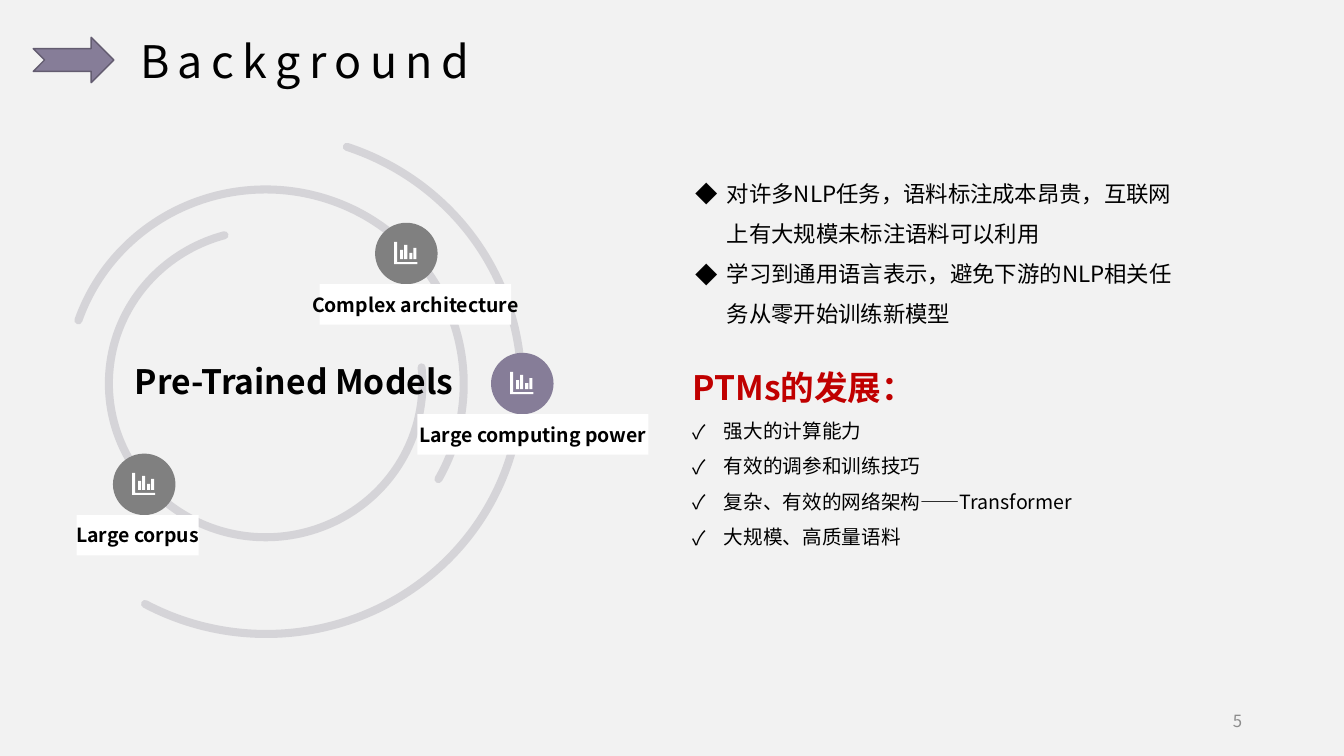
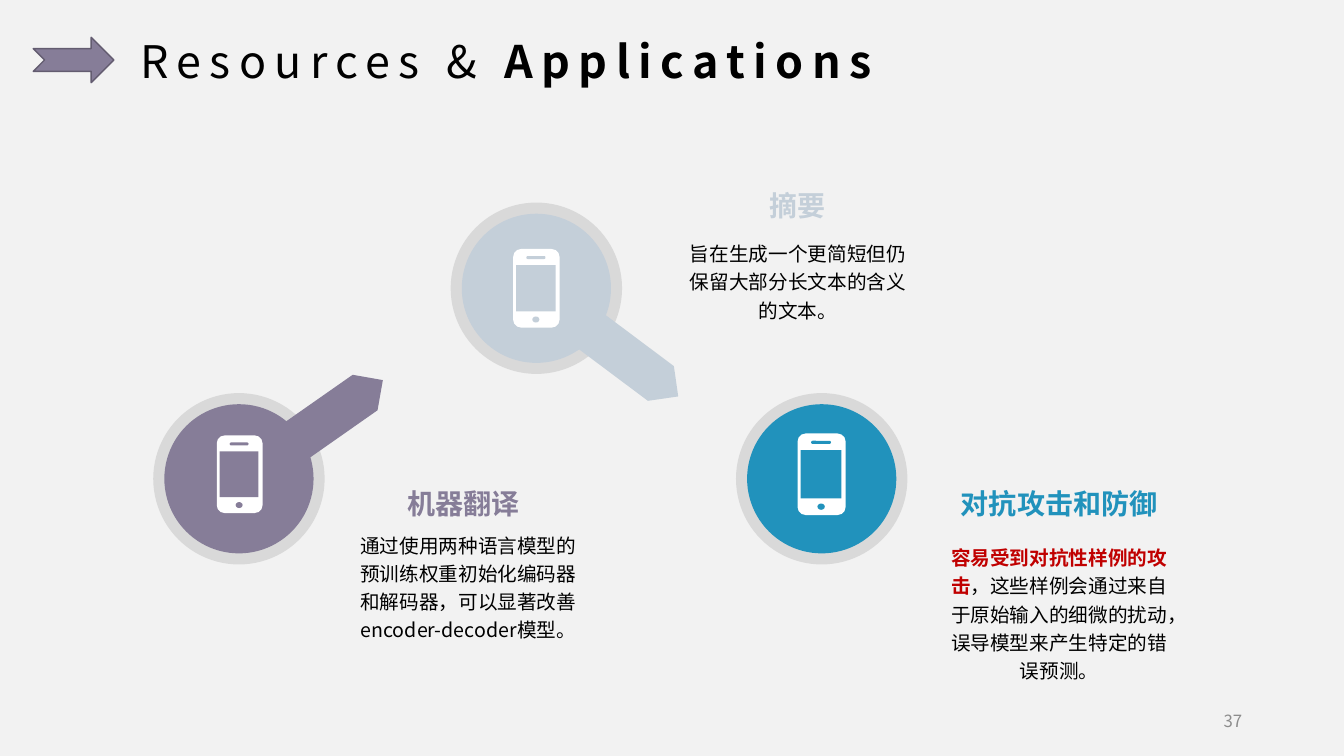
from dataclasses import dataclass

from lxml.etree import SubElement
from pptx import Presentation
from pptx.dml.color import RGBColor
from pptx.enum.shapes import MSO_SHAPE
from pptx.enum.text import MSO_ANCHOR, MSO_AUTO_SIZE, PP_ALIGN
from pptx.oxml.ns import qn
from pptx.util import Emu, Pt

EMU_PER_PX = 9144  # 100 px to the inch


@dataclass(frozen=True)
class Theme:
    font: str = "Noto Sans CJK SC"
    background: str = "F2F2F2"
    text: str = "000000"
    white: str = "FFFFFF"
    purple: str = "867D98"
    dark_purple: str = "635C70"
    pale_blue: str = "C4CFD9"
    blue: str = "2192BC"
    red: str = "C00000"
    grey: str = "808080"
    ring: str = "D9D9D9"
    number: str = "8C8C8C"
    title_size: float = 32
    heading_size: float = 24
    card_size: float = 20
    list_size: float = 16
    body_size: float = 14
    label_size: float = 13.9
    number_size: float = 12


THEME = Theme()


# Basic helpers
def px(*values):
    return [Emu(round(value * EMU_PER_PX)) for value in values]


def set_values(target, values):
    for name, value in values.items():
        setattr(target, name, value)


def format_frame(shape, margins=(10, 5, 10, 5), anchor=MSO_ANCHOR.TOP, wrap=True):
    left, top, right, bottom = px(*margins)
    set_values(shape.text_frame, {
        "auto_size": MSO_AUTO_SIZE.NONE, "word_wrap": wrap, "vertical_anchor": anchor,
        "margin_left": left, "margin_top": top,
        "margin_right": right, "margin_bottom": bottom,
    })
    return shape.text_frame


def add_run(paragraph, text, size, color=THEME.text, bold=False, tracking=None):
    run = paragraph.add_run()
    run.text = text
    set_values(run.font, {"name": THEME.font, "size": Pt(size), "bold": bold})
    run.font.color.rgb = RGBColor.from_string(color)
    properties = run.font._element
    SubElement(properties, qn("a:ea")).set("typeface", THEME.font)
    if tracking:
        properties.set("spc", str(tracking * 100))


def format_paragraph(paragraph, align=PP_ALIGN.LEFT, spacing=1.0, bullet=None):
    set_values(paragraph, {"alignment": align, "line_spacing": spacing,
                           "space_before": Pt(0), "space_after": Pt(0)})
    properties = paragraph._p.get_or_add_pPr()
    indent = px(31)[0] if bullet else 0
    properties.set("marL", str(indent))
    properties.set("indent", str(-indent))
    if bullet:
        SubElement(properties, qn("a:buFont")).set("typeface", THEME.font)
        SubElement(properties, qn("a:buChar")).set("char", bullet)
    else:
        SubElement(properties, qn("a:buNone"))
    return paragraph


def style_shape(shape, fill=None, line=None, line_width=1):
    shape.shadow.inherit = False
    if fill:
        shape.fill.solid()
        shape.fill.fore_color.rgb = RGBColor.from_string(fill)
    else:
        shape.fill.background()
    if line:
        shape.line.color.rgb = RGBColor.from_string(line)
        shape.line.width = Pt(line_width)
    else:
        shape.line.fill.background()
    return shape


def add_shape(slide, kind, box, fill=None, **line):
    return style_shape(slide.shapes.add_shape(kind, *px(*box)), fill, **line)


def add_text(slide, box, runs, align=PP_ALIGN.CENTER, spacing=1.0, **frame):
    text_frame = format_frame(slide.shapes.add_textbox(*px(*box)), **frame)
    paragraph = format_paragraph(text_frame.paragraphs[0], align, spacing)
    for text, size, color, bold in runs:
        add_run(paragraph, text, size, color, bold)


def place(shape, box):
    set_values(shape, dict(zip(("left", "top", "width", "height"), px(*box))))


# Shared slide furniture
def add_page(presentation, layout_name, title_runs, title_width, number):
    slide = presentation.slides.add_slide(
        presentation.slide_layouts.get_by_name(layout_name))
    title = slide.shapes.title
    place(title, (129, 28, title_width, 64))
    paragraph = format_paragraph(format_frame(title).paragraphs[0])
    for text, bold in title_runs:
        add_run(paragraph, text, THEME.title_size, bold=bold, tracking=6)
    add_shape(slide, MSO_SHAPE.NOTCHED_RIGHT_ARROW, (33, 37, 80, 45),
              THEME.purple, line=THEME.dark_purple)
    add_text(slide, (942, 695, 300, 40),
             [(number, THEME.number_size, THEME.number, False)],
             align=PP_ALIGN.RIGHT, anchor=MSO_ANCHOR.MIDDLE)
    return slide


# Parts of the models slide
def add_arc(slide, box, start, end, rotation=0):
    arc = add_shape(slide, MSO_SHAPE.ARC, box, line=THEME.dark_purple, line_width=5.75)
    arc.rotation = rotation
    arc.adjustments[0], arc.adjustments[1] = start * 0.6, end * 0.6  # degrees
    line = arc.line._ln
    line.set("cap", "rnd")
    SubElement(line.find(".//" + qn("a:srgbClr")), qn("a:alpha")).set("val", "20000")


def add_chart_icon(slide, left, top):
    axes = [(0, 0), (3, 0), (3, 20), (23, 20), (23, 22), (0, 22)]
    bars = [[(x, y), (x + 3, y), (x + 3, 17), (x, 17)]
            for x, y in ((6, 8), (10, 3), (15, 11), (19, 6))]
    builder = slide.shapes.build_freeform(left, top, scale=EMU_PER_PX)
    for outline in [axes] + bars:
        points = [(left + x, top + y) for x, y in outline]
        builder.move_to(*points[0])
        builder.add_line_segments(points[1:], close=True)
    style_shape(builder.convert_to_shape(), THEME.white)


def add_factor(slide, left, top, color, label, label_left, label_width):
    add_shape(slide, MSO_SHAPE.OVAL, (left, top, 62, 61), color)
    add_chart_icon(slide, left + 19, top + 19)
    box = add_shape(slide, MSO_SHAPE.RECTANGLE,
                    (label_left, top + 61, label_width, 40), THEME.white)
    frame = format_frame(box, (8, 8, 8, 8), MSO_ANCHOR.MIDDLE, wrap=False)
    paragraph = format_paragraph(frame.paragraphs[0], PP_ALIGN.CENTER)
    add_run(paragraph, label, THEME.label_size, bold=True)


def fill_list(placeholder, box, items, bullet, size, heading=None):
    place(placeholder, box)
    frame = format_frame(placeholder)
    lines = [(item, bullet, size, THEME.text, False) for item in items]
    if heading:
        lines.insert(0, (heading, None, THEME.heading_size, THEME.red, True))
    for index, (text, mark, text_size, color, bold) in enumerate(lines):
        paragraph = frame.add_paragraph() if index else frame.paragraphs[0]
        format_paragraph(paragraph, spacing=1.5, bullet=mark)
        add_run(paragraph, text, text_size, color, bold)


def build_background(presentation):
    slide = add_page(presentation, "Two Content", [("Background", False)], 397, "5")
    add_arc(slide, (108, 228, 311, 305), 354.08, 254.48)
    add_arc(slide, (67, 188, 393, 386), 198.78, 28.84)
    add_arc(slide, (16, 128, 496, 506), 198.78, 28.84, rotation=90)
    for factor in (
        (487, 350, THEME.purple, "Large computing power", 414, 229),
        (372, 221, THEME.grey, "Complex architecture", 317, 190),
        (112, 450, THEME.grey, "Large corpus", 76, 121),
    ):
        add_factor(slide, *factor)
    add_text(slide, (124, 353, 472, 61),
             [("Pre-Trained Models", THEME.heading_size, THEME.text, True)],
             align=PP_ALIGN.LEFT)

    benefits, drivers = list(slide.placeholders)[1:]
    fill_list(benefits, (680, 160, 514, 179), [
        "对许多NLP任务，语料标注成本昂贵，互联网上有大规模未标注语料可以利用",
        "学习到通用语言表示，避免下游的NLP相关任务从零开始训练新模型",
    ], "◆", THEME.list_size)
    fill_list(drivers, (677, 339, 514, 221), [
        "强大的计算能力",
        "有效的调参和训练技巧",
        "复杂、有效的网络架构——Transformer",
        "大规模、高质量语料",
    ], "✓", THEME.body_size, heading="PTMs的发展：")


# Parts of the applications slide
def add_disc(slide, left, top, color):
    for inset, fill in ((0, THEME.ring), (11, color)):
        size = 170 - 2 * inset
        add_shape(slide, MSO_SHAPE.OVAL, (left + inset, top + inset, size, size), fill)


def add_pointer(slide, left, top, rotation, color):
    pointer = add_shape(slide, MSO_SHAPE.PENTAGON, (left, top, 113, 43), color)
    pointer.rotation = rotation


def add_phone(slide, left, top, height, color):
    scale = height / 78
    rounded = MSO_SHAPE.ROUNDED_RECTANGLE
    for kind, (x, y, width, part_height), fill, radius in (
        (rounded, (0, 0, 46, 78), THEME.white, 0.17),
        (MSO_SHAPE.RECTANGLE, (3, 16, 39, 46), color, None),
        (rounded, (13, 7, 19, 3), color, 0.5),
        (MSO_SHAPE.OVAL, (19, 67, 7, 6), color, None),
    ):
        part = add_shape(slide, kind, (left + x * scale, top + y * scale,
                                       width * scale, part_height * scale), fill)
        if radius:
            part.adjustments[0] = radius


def add_card(slide, heading, heading_left, heading_top, color, body_box, runs):
    frame = {"margins": (0, 0, 0, 0), "anchor": MSO_ANCHOR.MIDDLE}
    add_text(slide, (heading_left, heading_top, 221, 36),
             [(heading, THEME.card_size, color, True)], wrap=False, **frame)
    add_text(slide, body_box,
             [(text, THEME.body_size, run_color, bold) for text, run_color, bold in runs],
             spacing=1.2, **frame)


def build_applications(presentation):
    slide = add_page(presentation, "Title Only",
                     [("Resources & ", False), ("Applications", True)], 825, "37")
    for disc in ((152, 390, THEME.purple), (730, 390, THEME.blue),
                 (447, 201, THEME.pale_blue)):
        add_disc(slide, *disc)
    add_pointer(slide, 277, 388, 325, THEME.purple)
    add_pointer(slide, 571, 338, 36.8, THEME.pale_blue)
    for phone in ((215, 432, 77, THEME.purple), (791, 430, 81, THEME.blue),
                  (509, 247, 78, THEME.pale_blue)):
        add_phone(slide, *phone)
    for card in (
        ("对抗攻击和防御", 940, 481, THEME.blue, (940, 538, 221, 138), [
            ("容易受到对抗性样例的攻击", THEME.red, True),
            ("，这些样例会通过来自于原始输入的细微的扰动，误导模型来产生特定的错误预测。",
             THEME.text, False)]),
        ("机器翻译", 349, 481, THEME.purple, (354, 530, 221, 101), [
            ("通过使用两种语言模型的预训练权重初始化编码器和解码器，"
             "可以显著改善encoder-decoder模型。", THEME.text, False)]),
        ("摘要", 681, 186, THEME.pale_blue, (681, 243, 221, 69), [
            ("旨在生成一个更简短但仍保留大部分长文本的含义的文本。", THEME.text, False)]),
    ):
        add_card(slide, *card)


def main():
    presentation = Presentation()
    presentation.slide_width, presentation.slide_height = px(1333, 750)
    background = presentation.slide_master.background.fill
    background.solid()
    background.fore_color.rgb = RGBColor.from_string(THEME.background)
    build_background(presentation)
    build_applications(presentation)
    presentation.save("out.pptx")


if __name__ == "__main__":
    main()
